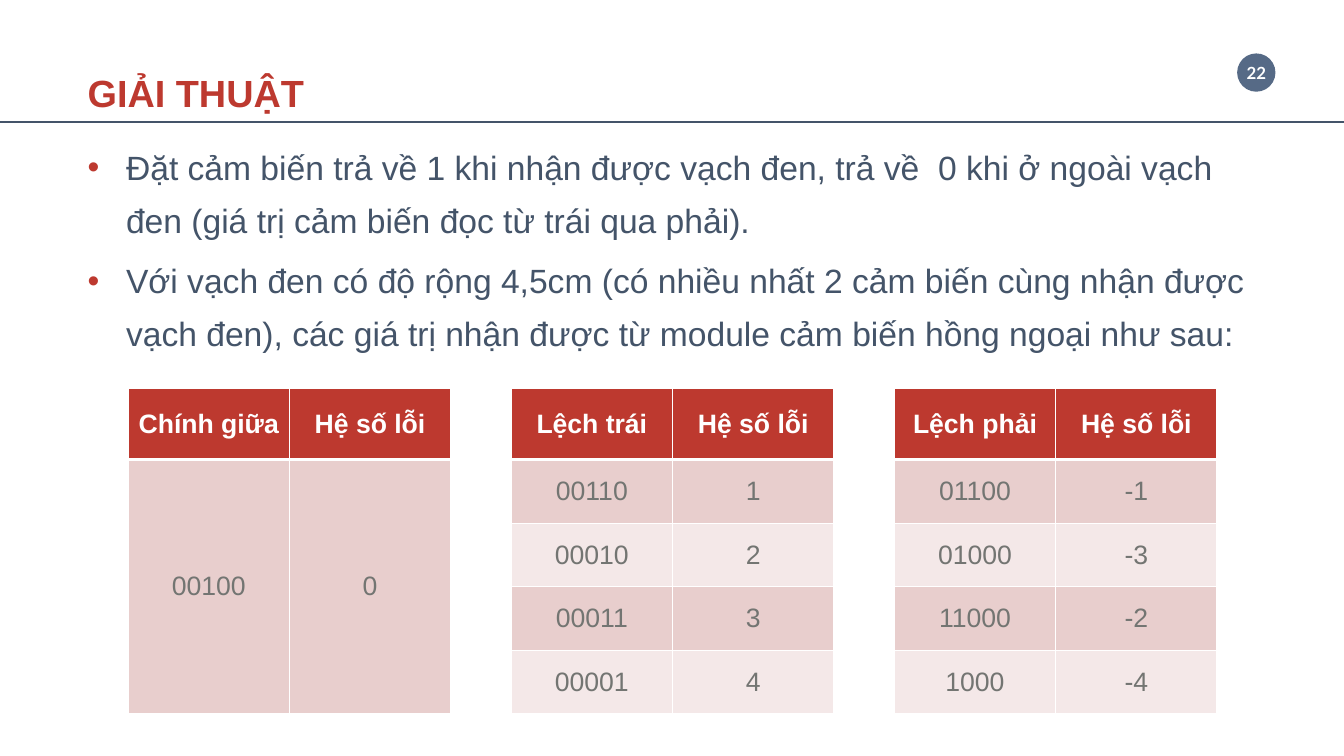
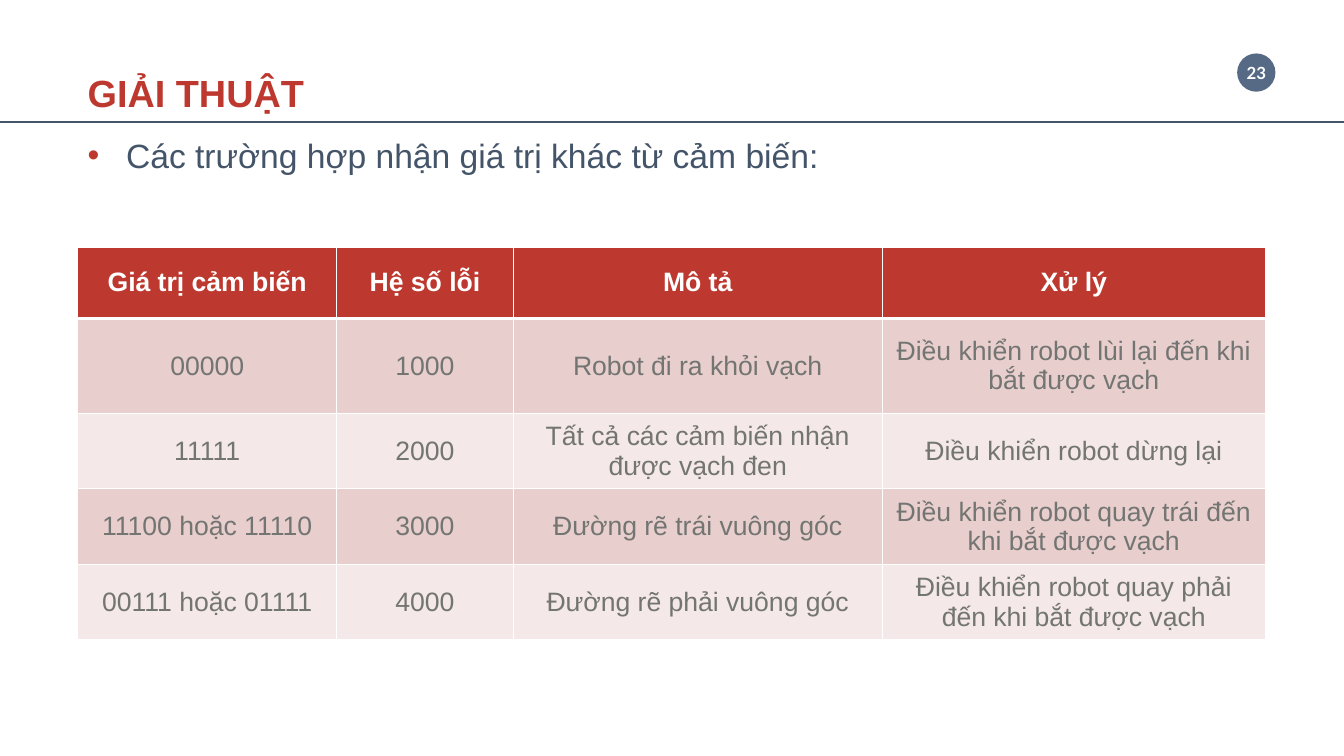
from dataclasses import dataclass

from lxml import etree
from pptx import Presentation
from pptx.dml.color import RGBColor
from pptx.enum import shapes as sh, text as tx
from pptx.oxml import ns
from pptx.util import Inches, Pt


@dataclass(frozen=True)
class Theme:
    red: str = "BD392F"
    navy: str = "445469"
    slate: str = "566A86"
    gray: str = "737572"
    white: str = "FFFFFF"
    dark: str = "E8CECD"
    light: str = "F4E8E8"
    font: str = "Arial"
    badge: str = "Lato"
    head: int = 27
    body: int = 24
    cell: int = 19
    small: int = 12


T = Theme()
WIDE, HIGH = 13.33, 7.5
LEFT, SPAN = 0.77, 11.78
TITLE = (LEFT, 0.55, 2.37, 0.6)
BADGE = (12.27, 0.53, 0.38, 0.38)
RULE = 1.21


def rgb(hue):
    return RGBColor.from_string(hue)


def inch(box):
    return [Inches(n) for n in box]


def place(item, box):
    item.left, item.top, item.width, item.height = inch(box)


def node(home, tag, **attrs):
    return etree.SubElement(home, ns.qn(tag), attrs)


def write(frame, *lines, size=T.cell, color=T.gray, font=T.font, bold=False,
          align=tx.PP_ALIGN.LEFT, gap=0, lead=1.0, dot=None):
    """Put each line in its own paragraph, with one format for all."""
    for i, line in enumerate(lines):
        par = frame.add_paragraph() if i else frame.paragraphs[0]
        par.alignment, par.line_spacing = align, lead
        par.space_before = Pt(gap)
        run = par.add_run()
        run.text = line
        run.font.name, run.font.size, run.font.bold = font, Pt(size), bold
        run.font.color.rgb = rgb(color)
        if dot:
            props = par._p.get_or_add_pPr()
            props.set("marL", str(Inches(0.38)))
            props.set("indent", str(-Inches(0.38)))
            node(node(props, "a:buClr"), "a:srgbClr", val=dot)
            node(props, "a:buFont", typeface=T.font)
            node(props, "a:buChar", char="•")


def fit(frame, wrap):
    frame.word_wrap = wrap
    frame.auto_size = tx.MSO_AUTO_SIZE.SHAPE_TO_FIT_TEXT
    frame.vertical_anchor = tx.MSO_ANCHOR.TOP


def badge(slide, box, num):
    """Round page number."""
    disc = slide.shapes.add_shape(sh.MSO_SHAPE.OVAL, *inch(box))
    disc.shadow.inherit = False
    disc.fill.solid()
    disc.fill.fore_color.rgb = rgb(T.slate)
    disc.line.fill.background()
    x, y, w, h = box
    note = slide.shapes.add_textbox(*inch((x - 0.02, y + 0.04, w + 0.04, h - 0.08)))
    fit(note.text_frame, False)
    write(note.text_frame, str(num), size=T.small, color=T.white,
          font=T.badge, bold=True, align=tx.PP_ALIGN.CENTER)


def rule(slide, y):
    """Full-width line under the title."""
    line = slide.shapes.add_connector(
        sh.MSO_CONNECTOR.STRAIGHT, 0, Inches(y), Inches(WIDE), Inches(y))
    line.line.color.rgb = rgb(T.navy)
    line.line.width = Pt(1)
    node(line._element.spPr, "a:effectLst")


def bullets(slide, box, lines, **form):
    body = slide.placeholders[1]
    place(body, box)
    fit(body.text_frame, True)
    write(body.text_frame, *lines, size=T.body, color=T.navy, dot=T.red, **form)


def frame(deck, num, title):
    """New slide with the shared title, badge and rule."""
    slide = deck.slides.add_slide(deck.slide_layouts[1])
    head = slide.shapes.title
    place(head, TITLE)
    fit(head.text_frame, False)
    write(head.text_frame, title, size=T.head, color=T.red, bold=True, lead=1.2)
    badge(slide, BADGE, num)
    rule(slide, RULE)
    return slide


def edge(cell, row):
    """White borders, thicker between header and body."""
    props = cell._tc.get_or_add_tcPr()
    wide = {"T": 3 if row == 1 else 1, "B": 3 if row == 0 else 1}
    for i, side in enumerate("LRTB"):
        line = etree.Element(ns.qn(f"a:ln{side}"), w=str(Pt(wide.get(side, 1))))
        node(node(line, "a:solidFill"), "a:srgbClr", val=T.white)
        props.insert(i, line)


def table(slide, box, cols, rows, data, tall=()):
    """Banded table; columns with no heading are gaps, tall ones are merged."""
    shape = slide.shapes.add_table(len(rows), len(cols), *inch(box))
    grid = shape.table
    grid.first_row = grid.horz_banding = False
    for col, w in zip(grid.columns, cols):
        col.width = Inches(w)
    for row, h in zip(grid.rows, rows):
        row.height = Inches(h)
    for r, line in enumerate(data):
        hue = T.red if r == 0 else T.dark if r % 2 else T.light
        for c, word in enumerate(line):
            cell = grid.cell(r, c)
            cell.fill.solid()
            cell.fill.fore_color.rgb = rgb(hue if data[0][c] else T.white)
            cell.vertical_anchor = tx.MSO_ANCHOR.MIDDLE
            edge(cell, r)
            if word:
                write(cell.text_frame, word, color=T.gray if r else T.white,
                      bold=r == 0, align=tx.PP_ALIGN.CENTER)
    for c in tall:
        grid.cell(1, c).merge(grid.cell(len(rows) - 1, c))


def errors(deck):
    """Slide with the error factors for each side."""
    slide = frame(deck, 22, "GIẢI THUẬT")
    bullets(slide, (LEFT, 1.29, SPAN, 2.23), [
        "Đặt cảm biến trả về 1 khi nhận được vạch đen, trả về  0 khi ở ngoài "
        "vạch đen (giá trị cảm biến đọc từ trái qua phải).",
        "Với vạch đen có độ rộng 4,5cm (có nhiều nhất 2 cảm biến cùng nhận được "
        "vạch đen), các giá trị nhận được từ module cảm biến hồng ngoại như sau:",
    ], lead=1.3, gap=6)
    fact = "Hệ số lỗi"
    data = [
        ["Chính giữa", fact, "", "Lệch trái", fact, "", "Lệch phải", fact],
        ["00100", "0", "", "00110", "1", "", "01100", "-1"],
        ["", "", "", "00010", "2", "", "01000", "-3"],
        ["", "", "", "00011", "3", "", "11000", "-2"],
        ["", "", "", "00001", "4", "", "1000", "-4"],
    ]
    pair = [1.6, 1.6]
    table(slide, (1.27, 3.85, 10.8, 3.23), pair + [0.6] + pair + [0.6] + pair,
          [0.71] + [0.63] * 4, data, tall=(0, 1, 2))


def cases(deck):
    """Slide with the other sensor readings."""
    slide = frame(deck, 23, "GIẢI THUẬT")
    bullets(slide, (LEFT, 1.29, SPAN, 0.5),
            ["Các trường hợp nhận giá trị khác từ cảm biến:"])
    data = [
        ["Giá trị cảm biến", "Hệ số lỗi", "Mô tả", "Xử lý"],
        ["00000", "1000", "Robot đi ra khỏi vạch",
         "Điều khiển robot lùi lại đến khi bắt được vạch"],
        ["11111", "2000", "Tất cả các cảm biến nhận được vạch đen",
         "Điều khiển robot dừng lại"],
        ["11100 hoặc 11110", "3000", "Đường rẽ trái vuông góc",
         "Điều khiển robot quay trái đến khi bắt được vạch"],
        ["00111 hoặc 01111", "4000", "Đường rẽ phải vuông góc",
         "Điều khiển robot quay phải đến khi bắt được vạch"],
    ]
    table(slide, (LEFT, 2.45, SPAN, 3.9), [2.57, 1.75, 3.66, 3.8],
          [0.71, 0.94] + [0.75] * 3, data)


def main():
    deck = Presentation()
    deck.slide_width, deck.slide_height = Inches(WIDE), Inches(HIGH)
    errors(deck)
    cases(deck)
    deck.save("out.pptx")


if __name__ == "__main__":
    main()
